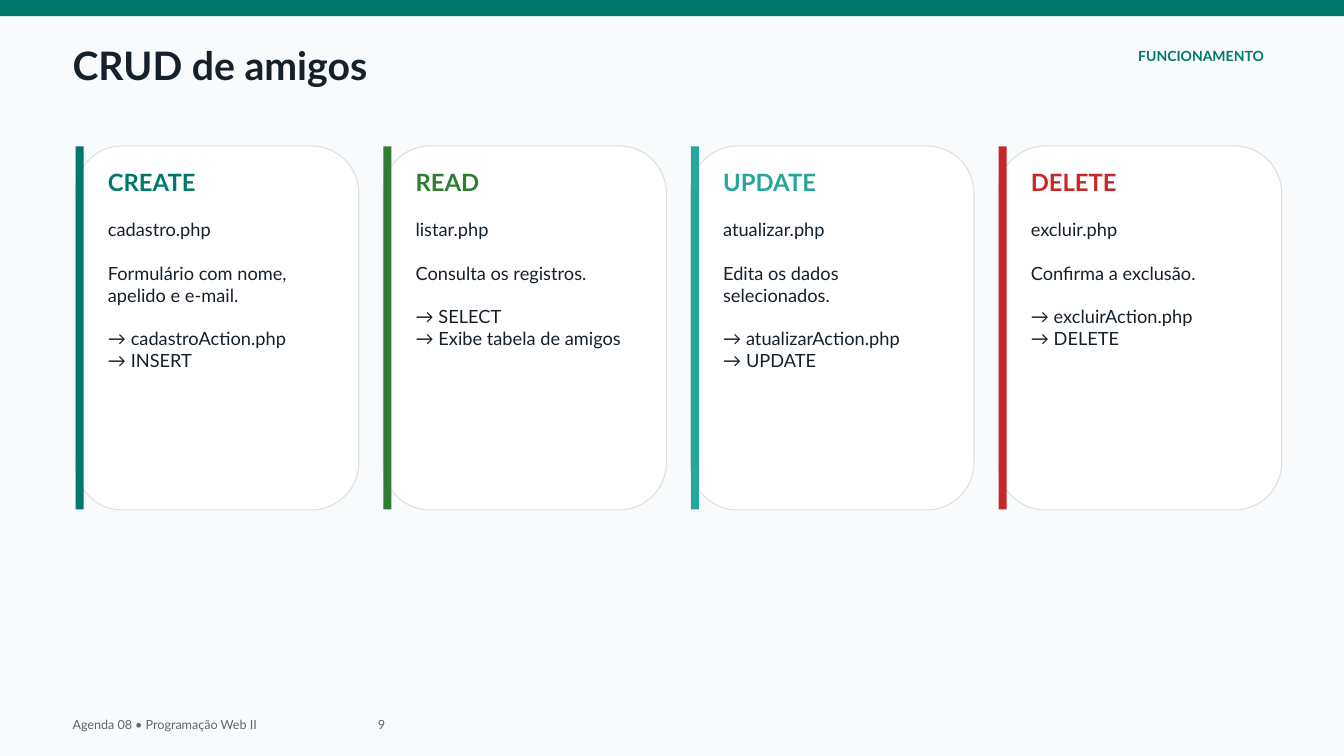
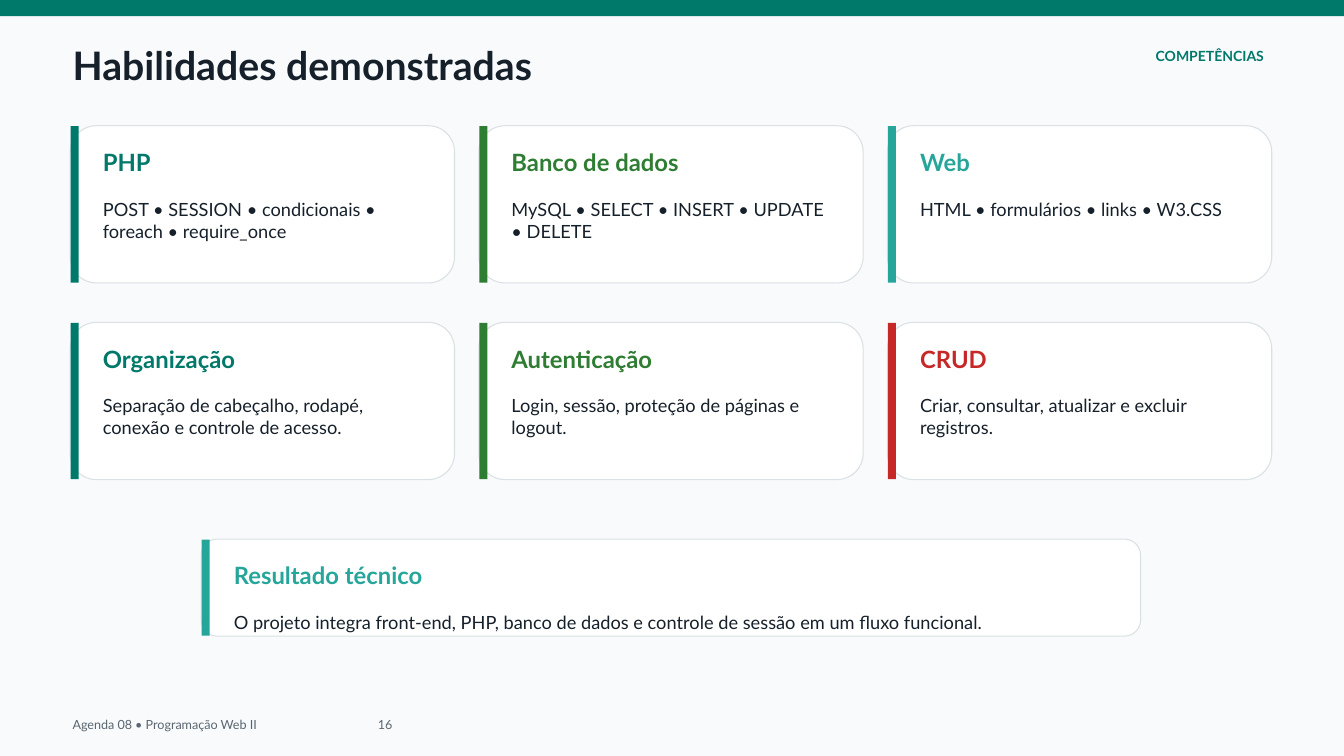
"""Build two course slides of accent-barred cards with a shared band, title and footer."""
from dataclasses import dataclass

from lxml.etree import SubElement
from pptx import Presentation
from pptx.dml.color import RGBColor as RGB
from pptx.enum.shapes import MSO_SHAPE as SHAPE
from pptx.enum.text import MSO_ANCHOR as ANCHOR, MSO_AUTO_SIZE as AUTO, PP_ALIGN as ALIGN
from pptx.oxml.ns import qn
from pptx.util import Pt


@dataclass(frozen=True)
class Theme:
    font: str = "Lato"
    page: str = "F8FAFC"
    card: str = "FFFFFF"
    border: str = "DAE1E4"
    ink: str = "16202A"
    muted: str = "5A6670"
    teal: str = "00796B"
    green: str = "2E7D32"
    aqua: str = "26A69A"
    red: str = "C62828"
    title: float = 42
    head: float = 25.5
    body: float = 19.5
    tag: float = 15
    foot: float = 13.5
    leading: float = 1.2


T = Theme()
WIDTH, HEIGHT = 1440, 810
MARGIN = 77.76


class Deck:
    def __init__(self, theme):
        self.t = theme
        self.prs = Presentation()
        self.prs.slide_width, self.prs.slide_height = Pt(WIDTH), Pt(HEIGHT)
        fill = self.prs.slide_master.background.fill
        fill.solid()
        fill.fore_color.rgb = RGB.from_string(theme.page)
        self.s = None

    def slide(self, title, tag, number):
        t = self.t
        self.s = self.prs.slides.add_slide(self.prs.slide_layouts[5])
        self.box(SHAPE.RECTANGLE, 0, 0, WIDTH, 17.28, t.teal)
        self.text([[title]], MARGIN, 44.64, 1260, 52.56, t.title, t.ink, bold=True,
                  sp=self.s.shapes.title)
        self.text([[tag]], 1141.92, 50.4, 212.4, 30.96, t.tag, t.teal, bold=True,
                  align=ALIGN.RIGHT)
        self.text([[f"Agenda 08 • Programação Web II\t{number}"]], MARGIN, 768.24, 1282, 17.28,
                  t.foot, t.muted, tab=327.2)

    def box(self, kind, x, y, w, h, fill, line=None):
        sp = self.s.shapes.add_shape(kind, Pt(x), Pt(y), Pt(w), Pt(h))
        sp.shadow.inherit = False
        sp.fill.solid()
        sp.fill.fore_color.rgb = RGB.from_string(fill)
        if line:
            sp.line.color.rgb = RGB.from_string(line)
            sp.line.width = Pt(1.13)
        else:
            sp.line.fill.background()

    def text(self, groups, x, y, w, h, size, color, bold=False, align=ALIGN.LEFT, tab=None,
             sp=None):
        if sp is None:
            sp = self.s.shapes.add_textbox(Pt(x), Pt(y), Pt(w), Pt(h))
        else:
            sp.left, sp.top, sp.width, sp.height = Pt(x), Pt(y), Pt(w), Pt(h)
        tf = sp.text_frame
        tf.margin_left = tf.margin_top = tf.margin_right = tf.margin_bottom = 0
        tf.word_wrap, tf.auto_size, tf.vertical_anchor = True, AUTO.NONE, ANCHOR.TOP
        leading = Pt(round(size * self.t.leading, 2))
        for g, lines in enumerate(groups):
            for i, line in enumerate(lines):
                p = tf.add_paragraph() if g or i else tf.paragraphs[0]
                p.text, p.alignment, p.line_spacing = line, align, leading
                p.space_before = leading if g and not i else 0
                if tab:
                    tabs = SubElement(p._p.get_or_add_pPr(), qn("a:tabLst"))
                    SubElement(tabs, qn("a:tab"), pos=str(Pt(tab)), algn="l")
                f = p.font
                f.name, f.size, f.bold = self.t.font, Pt(size), bold
                f.color.rgb = RGB.from_string(color)

    def card(self, x, y, w, h, head, accent, groups):
        t = self.t
        self.box(SHAPE.ROUNDED_RECTANGLE, x, y, w, h, t.card, t.border)
        self.box(SHAPE.RECTANGLE, x + 0.5, y + 0.5, 8.64, h - 1, accent)
        self.text([[head]], x + 35, y + 23.6, w - 64, 38, t.head, accent, bold=True)
        self.text(groups, x + 35, y + 77.6, w - 64, max(h - 97, 7.2), t.body, t.ink)


def crud_slide(deck):
    deck.slide("CRUD de amigos", "FUNCIONAMENTO", 9)
    operations = [
        ("CREATE", T.teal, [["cadastro.php"], ["Formulário com nome, apelido e e-mail."],
                            ["→ cadastroAction.php", "→ INSERT"]]),
        ("READ", T.green, [["listar.php"], ["Consulta os registros."],
                           ["→ SELECT", "→ Exibe tabela de amigos"]]),
        ("UPDATE", T.aqua, [["atualizar.php"], ["Edita os dados selecionados."],
                            ["→ atualizarAction.php", "→ UPDATE"]]),
        ("DELETE", T.red, [["excluir.php"], ["Confirma a exclusão."],
                           ["→ excluirAction.php", "→ DELETE"]]),
    ]
    for i, operation in enumerate(operations):
        deck.card(80.6 + 329.6 * i, 156.4, 303.8, 390, *operation)


def skills_slide(deck):
    deck.slide("Habilidades demonstradas", "COMPETÊNCIAS", 16)
    skills = [
        ("PHP", T.teal, "POST • SESSION • condicionais • foreach • require_once"),
        ("Banco de dados", T.green, "MySQL • SELECT • INSERT • UPDATE • DELETE"),
        ("Web", T.aqua, "HTML • formulários • links • W3.CSS"),
        ("Organização", T.teal, "Separação de cabeçalho, rodapé, conexão e controle de acesso."),
        ("Autenticação", T.green, "Login, sessão, proteção de páginas e logout."),
        ("CRUD", T.red, "Criar, consultar, atualizar e excluir registros."),
    ]
    for i, (head, accent, body) in enumerate(skills):
        row, col = divmod(i, 3)
        deck.card(75.2 + 437.8 * col, 134.7 + 210.7 * row, 411.8, 168.5, head, accent, [[body]])
    deck.card(215.5, 577.6, 1006.6, 104, "Resultado técnico", T.aqua,
              [["O projeto integra front-end, PHP, banco de dados e controle de sessão "
                "em um fluxo funcional."]])


def main():
    deck = Deck(T)
    crud_slide(deck)
    skills_slide(deck)
    deck.prs.save("out.pptx")


if __name__ == "__main__":
    main()
